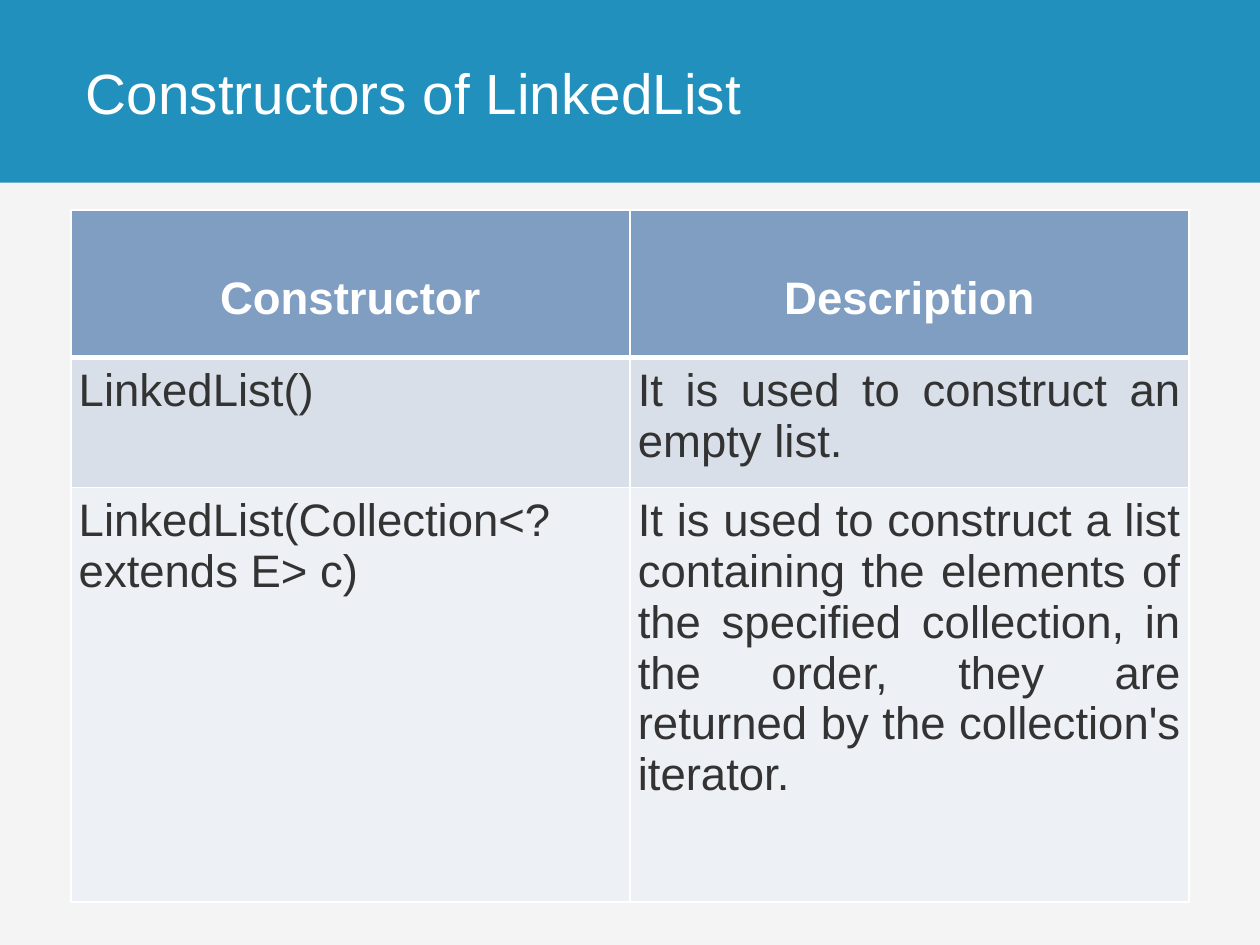
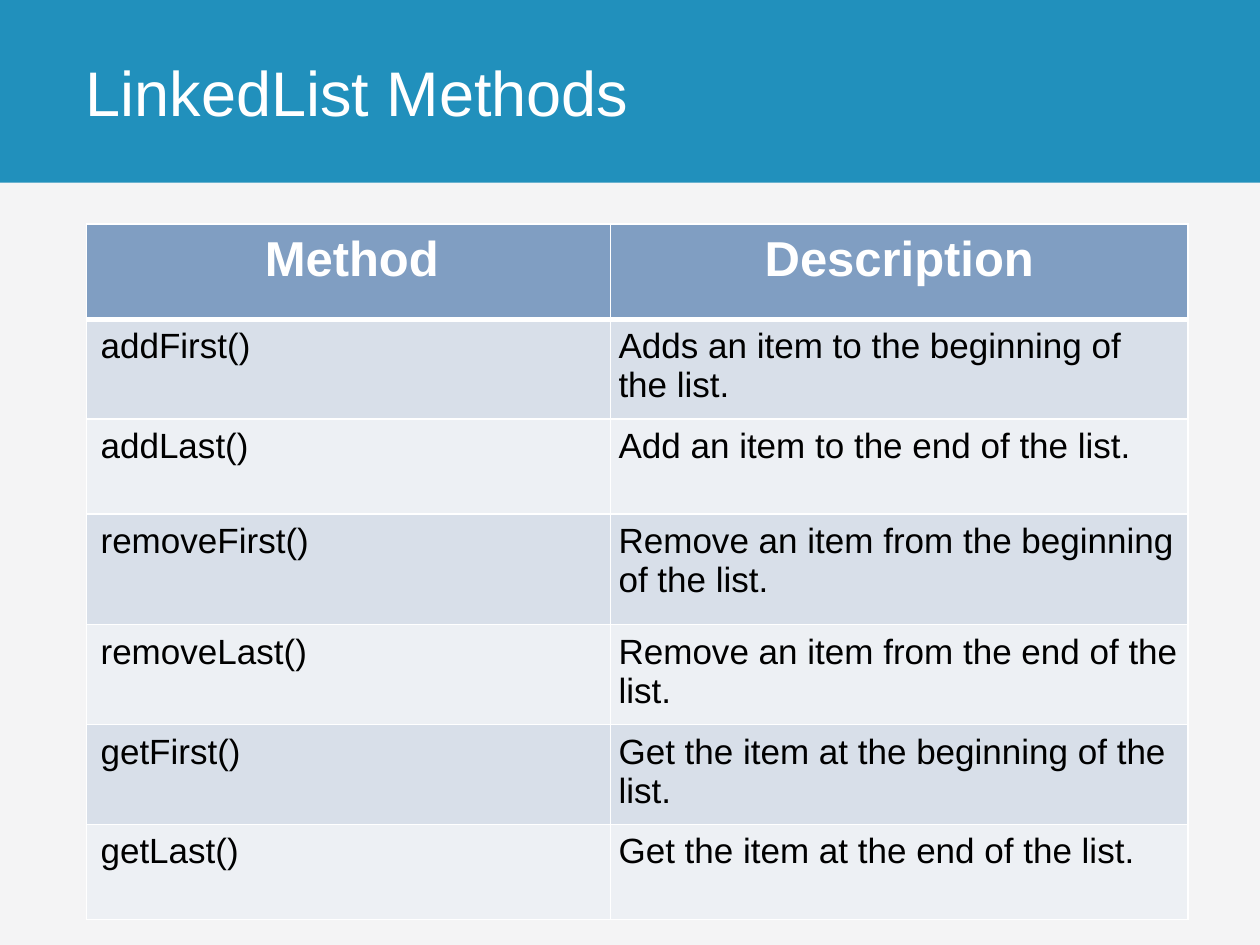
from dataclasses import dataclass

from lxml import etree
from pptx import Presentation
from pptx import util as u
from pptx.dml import color
from pptx.enum import shapes, text
from pptx.oxml import ns


@dataclass(frozen=True)
class Theme:
    font: str = "Arial"
    paper: str = "F4F4F5"
    band: str = "2190BC"
    white: str = "FFFFFF"
    header: str = "809EC2"
    stripes: tuple = ("D8DFE9", "EDF0F4")
    dark_grey: str = "333333"
    black: str = "000000"
    title_small: float = 32.4
    title_large: float = 36
    constructor_text: float = 26
    method_header: float = 28
    method_text: float = 20
    rule: float = 1
    header_rule: float = 3


THEME = Theme()
WIDTH, HEIGHT, BAND_HEIGHT = 720, 540, 104.4
TITLE_LEFT = 42
INSET = 4.5


def set_all(target, values):
    for name, value in values.items():
        setattr(target, name, value)


def paint(fill, colour):
    fill.solid()
    fill.fore_color.rgb = color.RGBColor.from_string(colour)


class SlideBuilder:
    def __init__(self, theme):
        self.theme = theme
        self.deck = Presentation()
        set_all(self.deck, {"slide_width": u.Pt(WIDTH), "slide_height": u.Pt(HEIGHT)})
        self.page = None

    def start_page(self, title, size):
        self.page = self.deck.slides.add_slide(self.deck.slide_layouts[6])
        paint(self.page.background.fill, self.theme.paper)
        self.band()
        self.title(title, size)

    def band(self):
        box = self.page.shapes.add_shape(
            shapes.MSO_SHAPE.RECTANGLE, 0, 0, u.Pt(WIDTH), u.Pt(BAND_HEIGHT))
        box.shadow.inherit = False
        paint(box.fill, self.theme.band)
        box.line.fill.background()

    def title(self, words, size):
        box = self.page.shapes.add_textbox(
            u.Pt(TITLE_LEFT), 0, u.Pt(WIDTH - TITLE_LEFT), u.Pt(BAND_HEIGHT))
        set_all(box.text_frame, {"word_wrap": True,
                                 "vertical_anchor": text.MSO_ANCHOR.MIDDLE})
        self.words(box.text_frame, words, size, self.theme.white)

    def words(self, frame, words, size, colour, align=text.PP_ALIGN.LEFT, bold=False):
        para = frame.paragraphs[0]
        para.alignment = align
        span = para.add_run()
        span.text = words
        set_all(span.font, {"name": self.theme.font, "size": u.Pt(size), "bold": bold})
        span.font.color.rgb = color.RGBColor.from_string(colour)

    def borders(self, cell, above, below):
        """Draw white cell borders; must run before the cell gets its fill."""
        properties = cell._tc.get_or_add_tcPr()
        rule = self.theme.rule
        for side, weight in {"L": rule, "R": rule, "T": above, "B": below}.items():
            line = etree.SubElement(properties, ns.qn(f"a:ln{side}"), w=str(u.Pt(weight)))
            solid = etree.SubElement(line, ns.qn("a:solidFill"))
            etree.SubElement(solid, ns.qn("a:srgbClr"), val=self.theme.white)

    def table(self, left, top, widths, heights, rows, header, body,
              header_margins, body_margins):
        """Fill a striped table; header and body hold formats for words()."""
        grid = self.page.shapes.add_table(
            len(rows), len(widths), u.Pt(left), u.Pt(top),
            u.Pt(sum(widths)), u.Pt(sum(heights))).table
        for column, width in zip(grid.columns, widths):
            column.width = u.Pt(width)
        for row, height in zip(grid.rows, heights):
            row.height = u.Pt(height)
        rules = [self.theme.rule, self.theme.header_rule] + [self.theme.rule] * len(rows)
        for r, values in enumerate(rows):
            if r == 0:
                fill, style, margin_sets = self.theme.header, header, header_margins
            else:
                fill = self.theme.stripes[(r - 1) % 2]
                style, margin_sets = body, body_margins
            for c, value in enumerate(values):
                cell = grid.cell(r, c)
                self.borders(cell, rules[r], rules[r + 1])
                paint(cell.fill, fill)
                set_all(cell, margin_sets[c])
                self.words(cell.text_frame, value, **style)


def margins(left=INSET, top=INSET, rest=INSET):
    return {"margin_left": u.Pt(left), "margin_top": u.Pt(top),
            "margin_right": u.Pt(rest), "margin_bottom": u.Pt(rest)}


def header_style(size):
    return {"size": size, "colour": THEME.white,
            "align": text.PP_ALIGN.CENTER, "bold": True}


def constructors_page(builder):
    builder.start_page("Constructors of LinkedList", THEME.title_small)
    size = THEME.constructor_text
    builder.table(
        40.5, 120, [319.5] * 2, [84.4, 74.2, 236.8],
        [("Constructor", "Description"),
         ("LinkedList()", "It is used to construct an empty list."),
         ("LinkedList(Collection<? extends E> c)",
          "It is used to construct a list containing the elements of the specified "
          "collection, in the order, they are returned by the collection's iterator.")],
        header_style(size),
        {"size": size, "colour": THEME.dark_grey, "align": text.PP_ALIGN.JUSTIFY},
        [margins(6, 36, 6)] * 2, [margins()] * 2)


def methods_page(builder):
    builder.start_page("LinkedList Methods", THEME.title_large)
    cell_margins = [margins(left=8), margins()]
    builder.table(
        49.5, 128, [299.5, 329.8], [54.4] * 3 + [63.2] + [54.4] * 3,
        [("Method", "Description"),
         ("addFirst()", "Adds an item to the beginning of the list."),
         ("addLast()", "Add an item to the end of the list."),
         ("removeFirst()", "Remove an item from the beginning of the list."),
         ("removeLast()", "Remove an item from the end of the list."),
         ("getFirst()", "Get the item at the beginning of the list."),
         ("getLast()", "Get the item at the end of the list.")],
        header_style(THEME.method_header),
        {"size": THEME.method_text, "colour": THEME.black},
        cell_margins, cell_margins)


def main():
    builder = SlideBuilder(THEME)
    constructors_page(builder)
    methods_page(builder)
    builder.deck.save("out.pptx")


if __name__ == "__main__":
    main()
